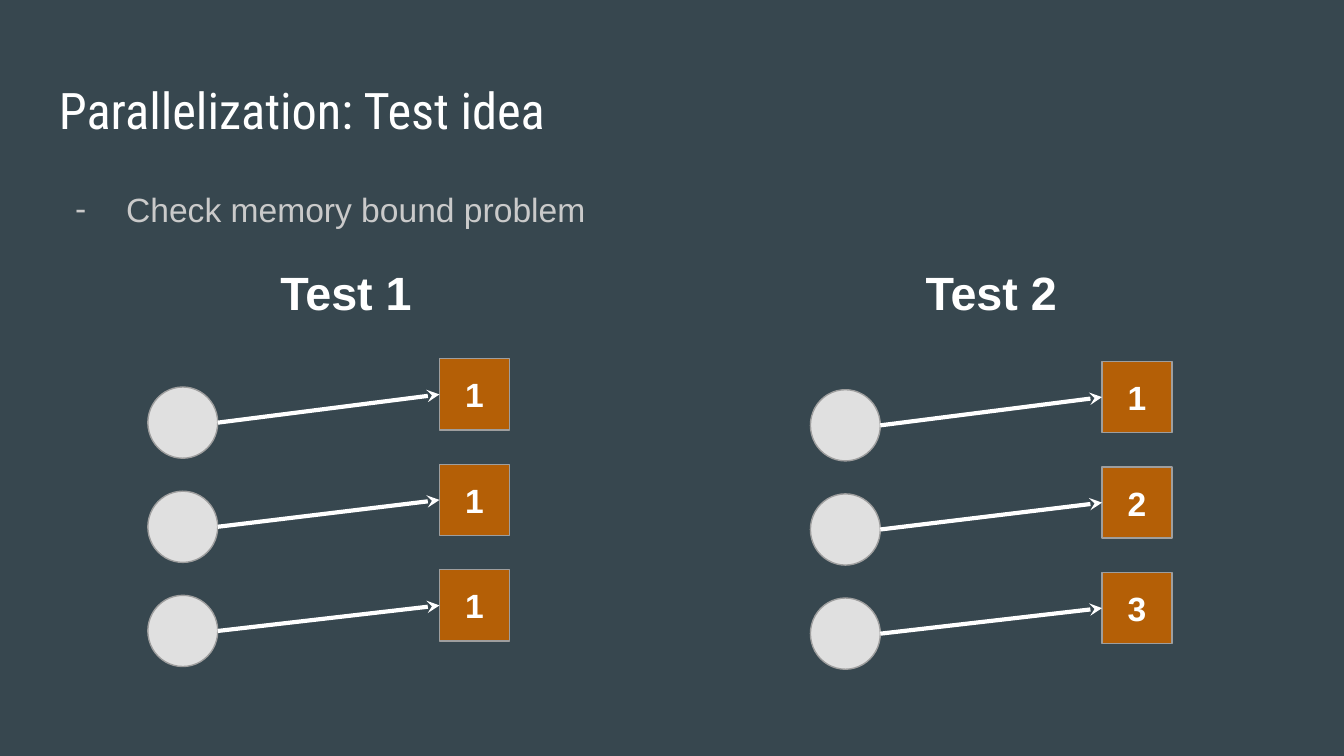
from lxml import etree
from pptx import Presentation
from pptx.dml.color import RGBColor
from pptx.enum import shapes, text
from pptx.oxml.ns import qn
from pptx.util import Inches, Pt

TITLE = "Parallelization: Test idea"
BULLET = "Check memory bound problem"
TESTS = [
    {"name": "Test 1", "name_x": 1.44, "x": 1.1, "y": 2.67, "cells": ["1", "1", "1"]},
    {"name": "Test 2", "name_x": 6.24, "x": 6.03, "y": 2.69, "cells": ["1", "2", "3"]},
]
WHITE, GREY, SILVER, EDGE, ORANGE, SLATE = (
    "FFFFFF", "CACACA", "E0E0E0", "9E9E9E", "B45F06", "37474F")
NODE_W, NODE_H = 0.52, 0.53
CELL_DX, CIRCLE_DY = 2.17, 0.21
CELL_STEP, CIRCLE_STEP = 1.57 / 2, 1.55 / 2


def rgb(value):
    return RGBColor.from_string(value)


def write(sp, content, size, color, font="Arial", bold=False, align=None):
    tf = sp.text_frame
    tf.word_wrap = True
    tf.margin_left = tf.margin_right = tf.margin_top = tf.margin_bottom = Inches(0.1)
    p = tf.paragraphs[0]
    p.text = content
    p.alignment = align
    p.font.size = Pt(size)
    p.font.name = font
    p.font.bold = bold
    p.font.color.rgb = rgb(color)
    return p


def add_text(s, x, y, w, h, *args, **kwargs):
    sp = s.shapes.add_textbox(Inches(x), Inches(y), Inches(w), Inches(h))
    return write(sp, *args, **kwargs)


def add_bullet(p, char, color):
    pPr = p._p.get_or_add_pPr()
    pPr.set("marL", str(Inches(0.5)))
    pPr.set("indent", str(Inches(-0.38)))
    buClr = etree.Element(qn("a:buClr"))
    etree.SubElement(buClr, qn("a:srgbClr"), val=color)
    buFont = etree.Element(qn("a:buFont"), typeface="Arial")
    buChar = etree.Element(qn("a:buChar"), char=char)
    defRPr = pPr.find(qn("a:defRPr"))
    for element in (buClr, buFont, buChar):
        defRPr.addprevious(element)


def add_node(s, kind, x, y, fill):
    sp = s.shapes.add_shape(kind, Inches(x), Inches(y), Inches(NODE_W), Inches(NODE_H))
    sp.shadow.inherit = False
    sp.fill.solid()
    sp.fill.fore_color.rgb = rgb(fill)
    sp.line.color.rgb = rgb(EDGE)
    sp.line.width = Pt(0.75)
    return sp


def add_arrow(s, circle, cell):
    line = s.shapes.add_connector(
        shapes.MSO_CONNECTOR.STRAIGHT,
        circle.left + circle.width, circle.top + circle.height // 2,
        cell.left, cell.top + cell.height // 2)
    line.end_connect(cell, 1)
    line.line.color.rgb = rgb(WHITE)
    line.line.width = Pt(2.25)
    etree.SubElement(line.line._get_or_add_ln(), qn("a:tailEnd"), type="stealth")
    etree.SubElement(line._element.spPr, qn("a:effectLst"))


def add_test(s, test):
    center = text.PP_ALIGN.CENTER
    for i, label in enumerate(test["cells"]):
        circle = add_node(s, shapes.MSO_SHAPE.OVAL, test["x"],
                          test["y"] + CIRCLE_DY + i * CIRCLE_STEP, SILVER)
        cell = add_node(s, shapes.MSO_SHAPE.RECTANGLE, test["x"] + CELL_DX,
                        test["y"] + i * CELL_STEP, ORANGE)
        write(cell, label, 18, WHITE, bold=True, align=center)
        cell.text_frame.vertical_anchor = text.MSO_ANCHOR.MIDDLE
        add_arrow(s, circle, cell)
    add_text(s, test["name_x"], 1.86, 2.27, 0.62, test["name"], 25, WHITE,
             bold=True, align=center)


def main():
    prs = Presentation()
    prs.slide_width = Inches(10)
    prs.slide_height = prs.slide_width * 9 // 16
    s = prs.slides.add_slide(prs.slide_layouts[6])
    s.background.fill.solid()
    s.background.fill.fore_color.rgb = rgb(SLATE)
    add_text(s, 0.34, 0.49, 9.32, 0.63, TITLE, 27, WHITE, font="Roboto Condensed")
    p = add_text(s, 0.34, 1.26, 9.32, 0.75, BULLET, 18, GREY)
    p.line_spacing = 1.15
    add_bullet(p, "-", GREY)
    for test in TESTS:
        add_test(s, test)
    prs.save("out.pptx")


if __name__ == "__main__":
    main()
